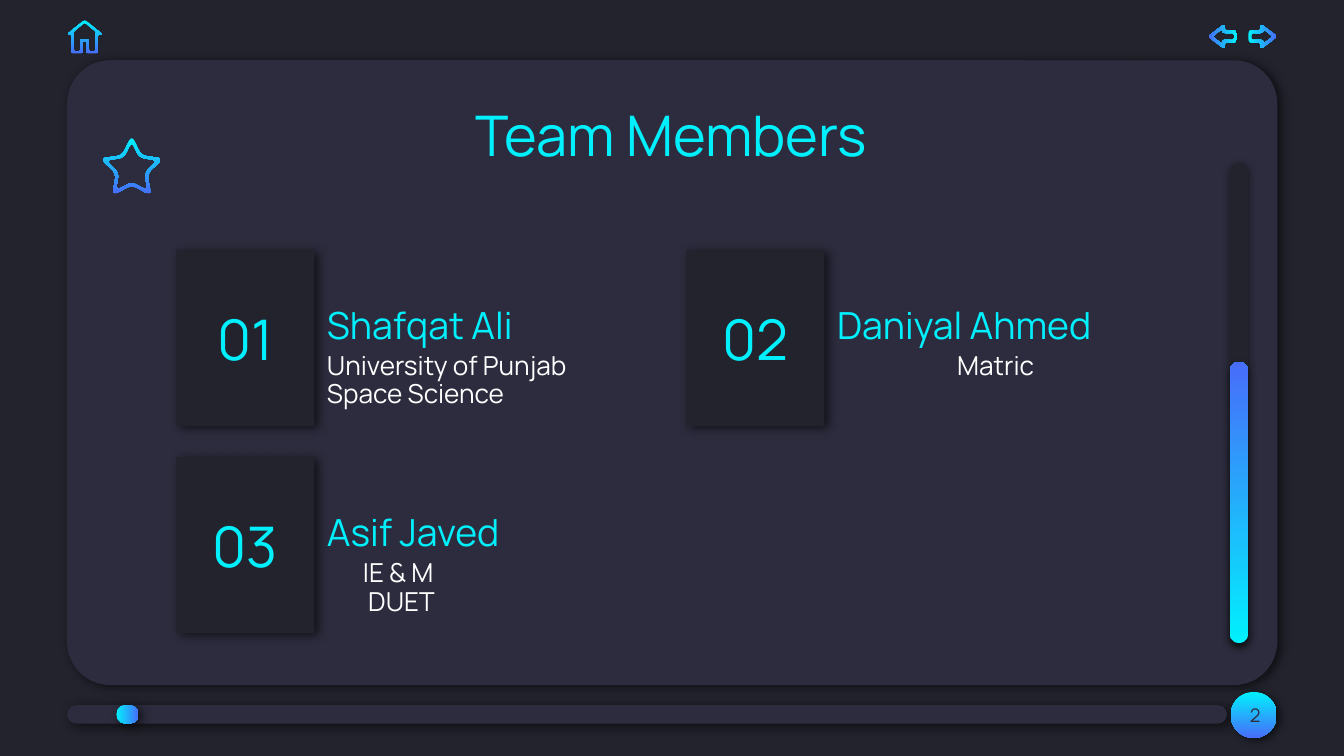
from math import cos, hypot, pi, sin

from lxml.etree import SubElement
from pptx import Presentation
from pptx.dml.color import RGBColor
from pptx.enum.shapes import MSO_SHAPE
from pptx.enum.text import MSO_ANCHOR, PP_ALIGN
from pptx.oxml.ns import qn
from pptx.util import Cm, Pt

DARK, PANEL, CYAN, BLUE, WHITE = "23232E", "2C2C3E", "01F0FD", "476DFA", "FFFFFF"
DOWN, UP, RIGHT, LEFT = 270, 90, 0, 180  # gradient directions, cyan to blue
SOFT = (60, 5.6, 2.2, 33)  # shadow: opacity, blur, distance, angle
BADGE = (60, 4.5, 2.2, 33)
BELOW = (50, 4.5, 1.5, 90)


def color(hex_string):
    return RGBColor.from_string(hex_string)


def paint(sp, fill):
    """Fill with a hex colour, or with the accent gradient in a direction."""
    sp.line.fill.background()
    sp.shadow.inherit = False
    if isinstance(fill, str):
        sp.fill.solid()
        sp.fill.fore_color.rgb = color(fill)
        return
    sp.fill.gradient()
    sp.fill.gradient_angle = fill
    for stop, accent in zip(sp.fill.gradient_stops, (CYAN, BLUE)):
        stop.color.rgb = color(accent)


def add_shadow(sp, opacity, blur, dist, angle):
    effects = sp._element.spPr.find(qn("a:effectLst"))
    outer = SubElement(effects, qn("a:outerShdw"), blurRad=str(Pt(blur)), dist=str(Pt(dist)),
                       dir=str(angle * 60000), algn="bl", rotWithShape="0")
    rgb = SubElement(outer, qn("a:srgbClr"), val="000000")
    SubElement(rgb, qn("a:alpha"), val=str(opacity * 1000))


def add_block(s, kind, box, fill, shadow, adj=None):
    sp = s.shapes.add_shape(kind, *map(Cm, box))
    if adj is not None:
        sp.adjustments[0] = adj
    paint(sp, fill)
    add_shadow(sp, *shadow)
    return sp


def write(sp, lines, size, hex_string, align=PP_ALIGN.LEFT, anchor=MSO_ANCHOR.TOP,
          spacing=None, indents=(0, 0)):
    tf = sp.text_frame
    tf.word_wrap = True
    tf.vertical_anchor = anchor
    tf.margin_left = tf.margin_right = tf.margin_top = tf.margin_bottom = Cm(0.25)
    tf.text = "\n".join(lines)
    for p, indent in zip(tf.paragraphs, indents):
        p.alignment = align
        p.line_spacing = spacing
        p.font.name = "Manrope"
        p.font.size = Pt(size)
        p.font.color.rgb = color(hex_string)
        if indent:
            p._p.get_or_add_pPr().set("marL", str(Cm(indent)))


def add_text(s, box, lines, size, hex_string, **style):
    write(s.shapes.add_textbox(*map(Cm, box)), lines, size, hex_string, **style)


def neighbours(points):
    return zip(points[-1:] + points[:-1], points, points[1:] + points[:1])


def unit(a, b):
    length = hypot(b[0] - a[0], b[1] - a[1])
    return (b[0] - a[0]) / length, (b[1] - a[1]) / length


def offset(points, d):
    """Move each edge of a clockwise outline outwards by d."""
    moved = []
    for a, b, c in neighbours(points):
        (ux, uy), (vx, vy) = unit(a, b), unit(b, c)
        k = d / (1 + ux * vx + uy * vy)
        moved.append((b[0] + k * (uy + vy), b[1] - k * (ux + vx)))
    return moved


def rounded(points, radius, steps=5):
    """Replace each corner by a short curve."""
    curve = []
    for a, b, c in neighbours(points):
        ends = []
        for q in (a, c):
            cut = min(radius / hypot(q[0] - b[0], q[1] - b[1]), 0.5)
            ends.append([b[i] + cut * (q[i] - b[i]) for i in (0, 1)])
        for t in (n / steps for n in range(steps + 1)):
            curve.append(tuple(Cm((1 - t) ** 2 * ends[0][i] + 2 * t * (1 - t) * b[i]
                                  + t * t * ends[1][i]) for i in (0, 1)))
    return curve


def add_icon(s, points, direction, radius, width=0.05):
    """Draw a ring of even width along a clockwise outline."""
    outer = rounded(offset(points, width / 2), radius)
    inner = rounded(offset(points, -width / 2), radius)[::-1]
    fb = s.shapes.build_freeform(*outer[0])
    fb.add_line_segments(outer[1:], close=True)
    fb.move_to(*inner[0])
    fb.add_line_segments(inner[1:], close=True)
    paint(fb.convert_to_shape(), direction)


def add_icons(s):
    home = [(1.6, 0.4), (1.88, 0.63), (1.83, 0.63), (1.83, 0.99), (1.66, 0.99), (1.66, 0.76),
            (1.54, 0.76), (1.54, 0.99), (1.37, 0.99), (1.37, 0.63), (1.32, 0.63)]
    add_icon(s, home, DOWN, 0.04, 0.04)

    forward = [(23.62, 0.6), (23.85, 0.6), (23.85, 0.5), (24.1, 0.69),
               (23.85, 0.88), (23.85, 0.78), (23.62, 0.78)]
    back = [(46.97 - x, y) for x, y in reversed(forward)]
    add_icon(s, forward, RIGHT, 0.06)
    add_icon(s, back, LEFT, 0.06)

    star = [(2.49 + r * sin(n * pi / 5), 3.19 - r * cos(n * pi / 5))
            for n, r in enumerate([0.57, 0.28] * 5)]
    add_icon(s, star, DOWN, 0.12)


def add_member(s, number, col, row, name, details, **style):
    x, y = 3.33 + 9.64 * col, 4.72 + 3.92 * row
    card = add_block(s, MSO_SHAPE.RECTANGLE, (x, y, 2.61, 3.33), DARK, SOFT)
    write(card, [f"{number:02}"], 30, CYAN, align=PP_ALIGN.CENTER, anchor=MSO_ANCHOR.MIDDLE)
    add_text(s, (x + 2.6, y + 0.1, 6.5, 1.98), [name], 20, CYAN, anchor=MSO_ANCHOR.BOTTOM)
    add_text(s, (x + 2.6, y + 1.7, 6.5, 1.5), details, 14, WHITE, spacing=0.9, **style)


def main():
    prs = Presentation()
    prs.slide_width, prs.slide_height = Cm(25.4), Cm(14.29)
    s = prs.slides.add_slide(prs.slide_layouts[6])
    s.background.fill.solid()
    s.background.fill.fore_color.rgb = color(DARK)

    # Panel, progress bar and scroll bar
    bar = MSO_SHAPE.ROUNDED_RECTANGLE
    add_block(s, bar, (1.27, 1.14, 22.87, 11.81), PANEL, SOFT, 0.069)
    add_block(s, bar, (1.27, 13.33, 21.92, 0.35), PANEL, SOFT, 0.5)
    add_block(s, bar, (2.2, 13.33, 0.42, 0.35), RIGHT, SOFT, 0.5)
    add_block(s, bar, (23.24, 3.07, 0.35, 9.1), DARK, BELOW, 0.5)
    add_block(s, bar, (23.24, 6.84, 0.35, 5.32), UP, BELOW, 0.5)

    # Page number
    add_block(s, MSO_SHAPE.OVAL, (23.26, 13.08, 0.87, 0.87), DOWN, BADGE)
    add_text(s, (22.96, 12.98, 1.52, 1.09), ["2"], 10, PANEL,
             align=PP_ALIGN.CENTER, anchor=MSO_ANCHOR.MIDDLE)

    # Title and members
    add_text(s, (2.2, 1.65, 20.98, 1.6), ["Team Members"], 30, CYAN, align=PP_ALIGN.CENTER)
    add_member(s, 1, 0, 0, "Shafqat Ali", ["University of Punjab", "Space Science"])
    add_member(s, 2, 1, 0, "Daniyal Ahmed", ["Matric"], align=PP_ALIGN.CENTER)
    add_member(s, 3, 0, 1, "Asif Javed", ["IE & M", "DUET"], indents=(0.68, 0.78))

    add_icons(s)
    prs.save("out.pptx")


if __name__ == "__main__":
    main()
